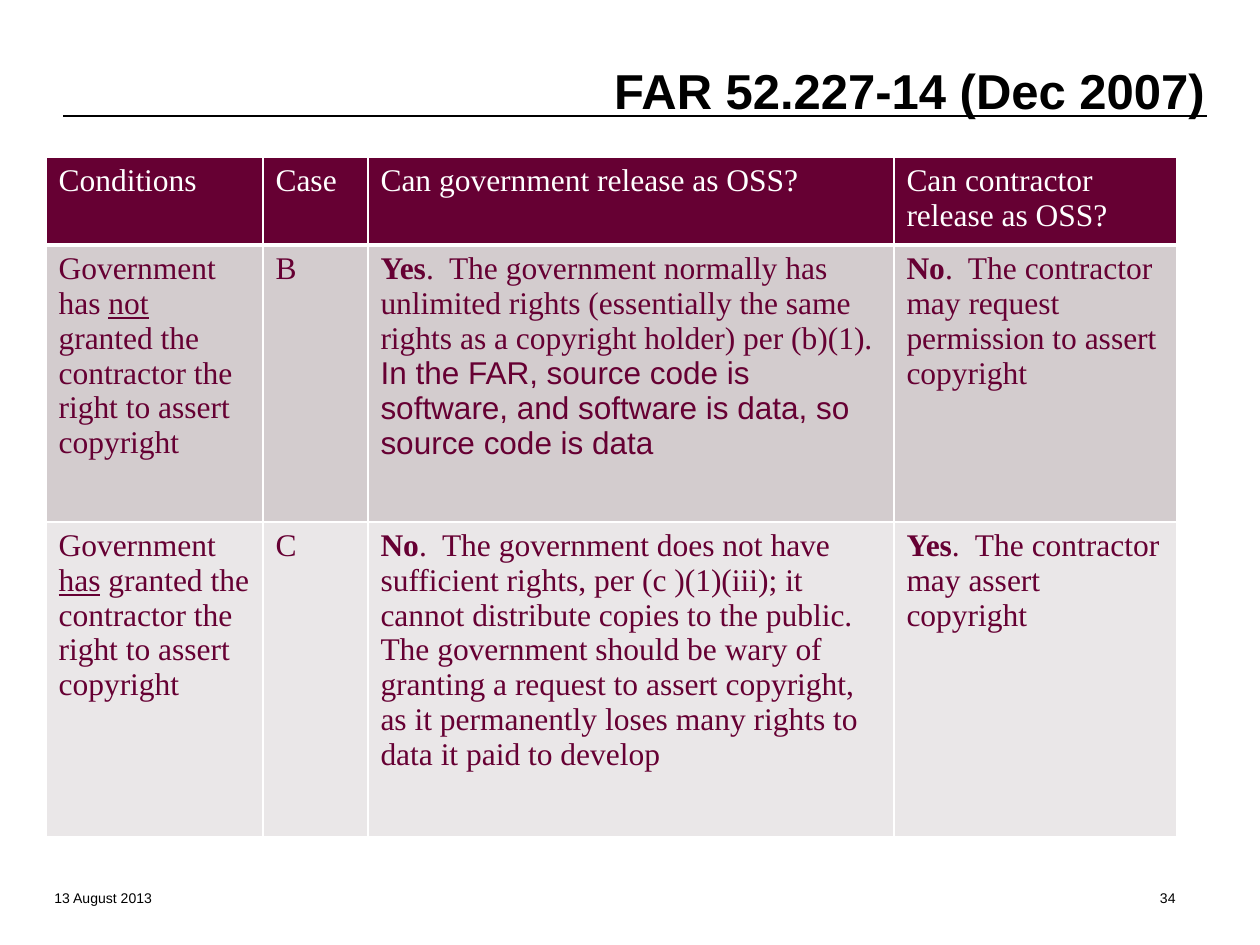
from dataclasses import dataclass

from lxml.etree import SubElement
from pptx import Presentation
from pptx.dml.color import RGBColor
from pptx.enum.shapes import MSO_CONNECTOR
from pptx.enum.text import MSO_ANCHOR, PP_ALIGN
from pptx.oxml.ns import qn
from pptx.util import Emu, Pt


@dataclass(frozen=True)
class Theme:
    black: RGBColor = RGBColor.from_string("000000")
    white: RGBColor = RGBColor.from_string("FFFFFF")
    maroon: RGBColor = RGBColor.from_string("660033")
    dark_band: RGBColor = RGBColor.from_string("D3CCCE")
    light_band: RGBColor = RGBColor.from_string("EAE7E8")
    sans: str = "Arial"
    serif: str = "Times New Roman"
    title_size: int = 28
    table_size: int = 18
    footer_size: int = 8


THEME = Theme()
PIXELS_PER_INCH = 126


def px(count):
    return Emu(round(count * 914400 / PIXELS_PER_INCH))


def style_run(run, font_name, size, color, bold=False, underline=False):
    font = run.font
    font.name = font_name
    font.size = Pt(size)
    font.color.rgb = color
    font.bold = bold
    font.underline = underline


presentation = Presentation()
presentation.slide_width = px(1260)
presentation.slide_height = px(945)
slide = presentation.slides.add_slide(presentation.slide_layouts[5])

# Title and the rule under it
rule = slide.shapes.add_connector(MSO_CONNECTOR.STRAIGHT, px(63), px(116), px(1207), px(116))
rule.line.color.rgb = THEME.black
rule.line.width = Pt(0.75)
SubElement(rule._element.spPr, qn("a:effectLst"))

title = slide.shapes.title
title.left, title.top, title.width, title.height = px(357), px(54), px(860), px(72)
title.text_frame.text = "FAR 52.227-14 (Dec 2007)"
title.text_frame.vertical_anchor = MSO_ANCHOR.BOTTOM
title_paragraph = title.text_frame.paragraphs[0]
title_paragraph.alignment = PP_ALIGN.RIGHT
style_run(title_paragraph.runs[0], THEME.sans, THEME.title_size, THEME.black, bold=True)

# Each cell is a list of (text, style) runs; style is "", "bold", "underline" or "sans"
table_rows = [
    [
        [("Conditions", "")],
        [("Case", "")],
        [("Can government release as OSS?", "")],
        [("Can contractor release as OSS?", "")],
    ],
    [
        [("Government has ", ""), ("not", "underline"),
         (" granted the contractor the right to assert copyright", "")],
        [("B", "")],
        [("Yes", "bold"),
         (".  The government normally has unlimited rights (essentially the same "
          "rights as a copyright holder) per (b)(1).  ", ""),
         ("In the FAR, source code is software, and software is data, "
          "so source code is data", "sans")],
        [("No", "bold"),
         (".  The contractor may request permission to assert copyright", "")],
    ],
    [
        [("Government ", ""), ("has", "underline"),
         (" granted the contractor the right to assert copyright", "")],
        [("C", "")],
        [("No", "bold"),
         (".  The government does not have sufficient rights, per (c )(1)(iii); "
          "it cannot distribute copies to the public.  The government should be wary "
          "of granting a request to assert copyright, as it permanently loses many "
          "rights to data it paid to develop", "")],
        [("Yes", "bold"), (".  The contractor may assert copyright", "")],
    ],
]
column_widths = [217, 105, 526, 283]
row_heights = [88, 277, 315]
row_fills = [THEME.maroon, THEME.dark_band, THEME.light_band]
row_text_colors = [THEME.white, THEME.maroon, THEME.maroon]

table = slide.shapes.add_table(
    len(row_heights), len(column_widths),
    px(46), px(157), px(sum(column_widths)), px(sum(row_heights)),
).table
for column, width in zip(table.columns, column_widths):
    column.width = px(width)

for row_index, cells in enumerate(table_rows):
    table.rows[row_index].height = px(row_heights[row_index])
    for column_index, pieces in enumerate(cells):
        cell = table.cell(row_index, column_index)
        paragraph = cell.text_frame.paragraphs[0]
        for text, style in pieces:
            run = paragraph.add_run()
            run.text = text
            style_run(
                run,
                THEME.sans if style == "sans" else THEME.serif,
                THEME.table_size,
                row_text_colors[row_index],
                bold=style == "bold",
                underline=style == "underline",
            )
        # Borders must come before the fill in the cell properties
        properties = cell._tc.get_or_add_tcPr()
        for side in ("lnL", "lnR", "lnT", "lnB"):
            border_width = Pt(3) if row_index == 0 and side == "lnB" else Pt(1)
            border = SubElement(properties, qn(f"a:{side}"), w=str(border_width))
            border_fill = SubElement(border, qn("a:solidFill"))
            SubElement(border_fill, qn("a:srgbClr"), val=str(THEME.white))
        cell.fill.solid()
        cell.fill.fore_color.rgb = row_fills[row_index]

# Footer: date and slide number
for text, left, alignment in [
    ("13 August 2013", 42, PP_ALIGN.LEFT),
    ("34", 926, PP_ALIGN.RIGHT),
]:
    footer = slide.shapes.add_textbox(px(left), px(850), px(262), px(63))
    footer.text_frame.word_wrap = True
    footer.text_frame.vertical_anchor = MSO_ANCHOR.BOTTOM
    footer.text_frame.text = text
    paragraph = footer.text_frame.paragraphs[0]
    paragraph.alignment = alignment
    style_run(paragraph.runs[0], THEME.sans, THEME.footer_size, THEME.black)

presentation.save("out.pptx")
